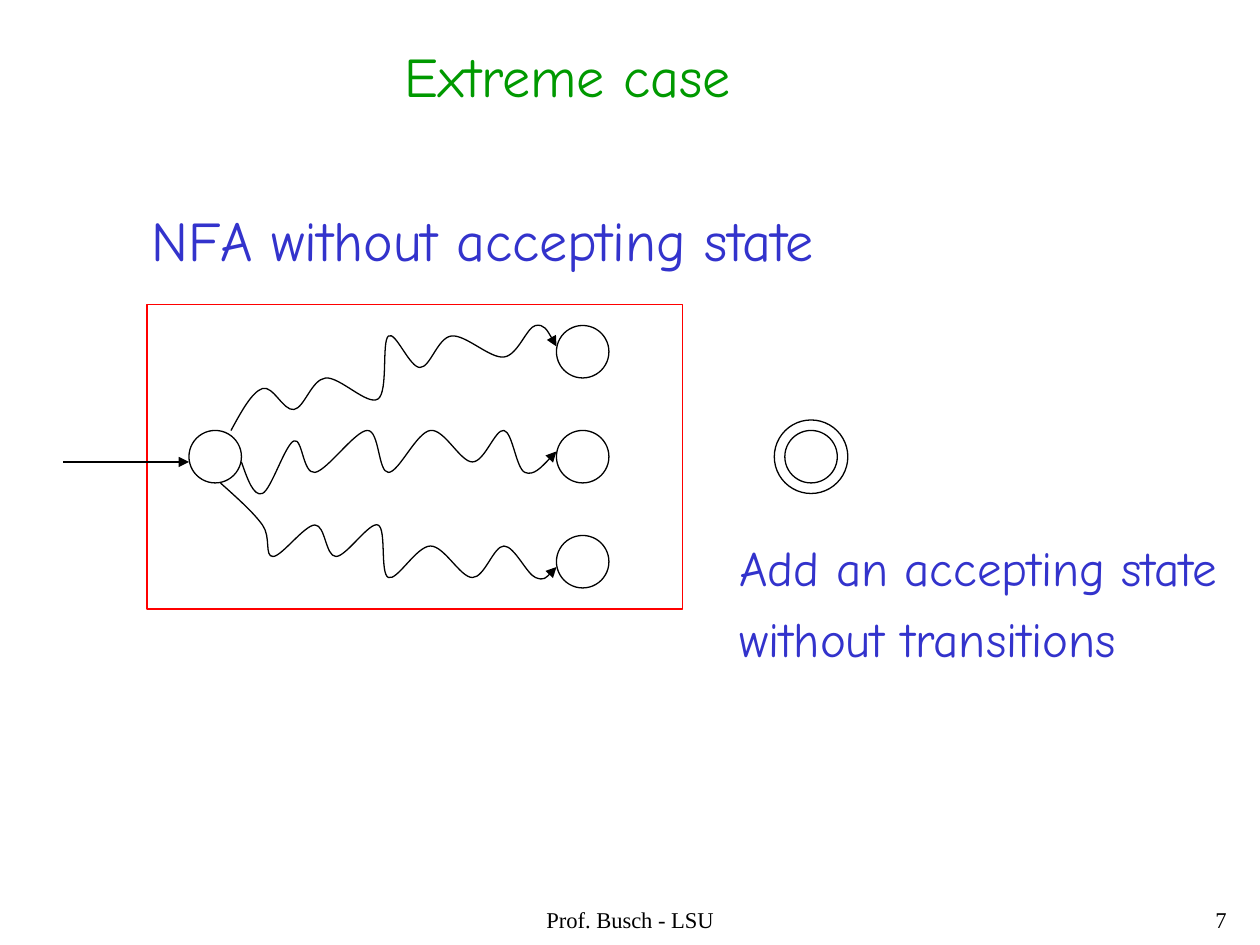
from lxml import etree
from pptx import Presentation, util as u
from pptx.dml.color import RGBColor
from pptx.enum import shapes, text
from pptx.oxml.ns import qn

PX = 9525  # EMU per px, 96 px to the inch
STEP = 8 * PX  # grid step of the wavy paths

BLACK, RED, BLUE, GREEN = "000000", "FF0000", "3333CC", "009900"


def outline(shape, color=BLACK, arrow=False):
    """Give a thin line without fill or shadow, and an arrowhead if asked."""
    if hasattr(shape, "fill"):
        shape.fill.background()
        shape.shadow.inherit = False
    else:
        etree.SubElement(shape._element.spPr, qn("a:effectLst"))
    shape.line.color.rgb = RGBColor.from_string(color)
    shape.line.width = u.Pt(0.75)
    if arrow:
        etree.SubElement(shape.line._get_or_add_ln(), qn("a:tailEnd"), type="triangle")


def write(parent, box, lines, color, font, size, wrap=False, **paragraph_format):
    """Add a text box; paragraph_format holds values set on every paragraph."""
    frame = parent.add_textbox(*(v * PX for v in box)).text_frame
    frame.word_wrap = wrap
    frame.auto_size = text.MSO_AUTO_SIZE.NONE if wrap else text.MSO_AUTO_SIZE.SHAPE_TO_FIT_TEXT
    frame.text = "\n".join(lines)
    for i, paragraph in enumerate(frame.paragraphs):
        for key, value in paragraph_format.items():
            setattr(paragraph, key, value)
        if i:
            paragraph.space_before = u.Pt(7)
        for key, value in {"name": font, "size": u.Pt(size)}.items():
            setattr(paragraph.font, key, value)
        paragraph.font.color.rgb = RGBColor.from_string(color)


prs = Presentation()
prs.slide_width, prs.slide_height = 960 * PX, 720 * PX
slide = prs.slides.add_slide(prs.slide_layouts[6])
parts = slide.shapes

# Footer
for box, words, align in [
    ((328, 688, 304, 32), "Prof. Busch - LSU", text.PP_ALIGN.CENTER),
    ((744, 688, 200, 32), "7", text.PP_ALIGN.RIGHT),
]:
    write(parts, box, [words], BLACK, "Times New Roman", 12.9, wrap=True,
          alignment=align, line_spacing=0.9)

# Automaton: frame, start state and three end states
frame_box = (v * PX for v in (112, 232, 408, 232))
outline(parts.add_shape(shapes.MSO_SHAPE.RECTANGLE, *frame_box), RED)
for left, top in [(144, 328), (424, 248), (424, 328), (424, 408)]:
    outline(parts.add_shape(shapes.MSO_SHAPE.OVAL, left * PX, top * PX, 40 * PX, 40 * PX))

start_arrow = parts.add_connector(
    shapes.MSO_CONNECTOR.STRAIGHT, 48 * PX, 352 * PX, 144 * PX, 352 * PX)
outline(start_arrow, arrow=True)

# Wavy paths: smooth curves through knots given in grid steps
wavy_paths = [
    [(22, 41), (25, 37), (28, 39), (31, 36), (36, 38), (37, 32),
     (40, 35), (43, 32), (48, 34), (51, 31), (53, 33)],
    [(23, 44), (25, 47), (28, 42), (30, 45), (35, 41), (37, 45),
     (41, 41), (45, 44), (48, 41), (50, 45), (53, 43)],
    [(21, 46), (25, 50), (26, 53), (30, 50), (32, 53), (36, 50),
     (37, 55), (41, 52), (45, 55), (48, 52), (51, 55), (53, 54)],
]
for grid_knots in wavy_paths:
    knots = [(x * STEP, y * STEP) for x, y in grid_knots]
    builder = parts.build_freeform(*knots[0], scale=1)
    builder.add_line_segments(knots[1:], close=False)
    wave = builder.convert_to_shape()
    outline(wave, arrow=True)

    # The tangent at an inner knot is a sixth of the span between its neighbours
    before, after = [], []
    for (x0, y0), (x, y), (x1, y1) in zip(knots, knots[1:], knots[2:]):
        dx, dy = (x1 - x0) / 6, (y1 - y0) / 6
        before.append((x - dx, y - dy))
        after.append((x + dx, y + dy))
    first = [(a + b) / 2 for a, b in zip(knots[0], before[0])]
    last = [(a + b) / 2 for a, b in zip(knots[-1], after[-1])]
    segments = list(wave._element.iter(qn("a:lnTo")))
    for segment, *controls in zip(segments, [first] + after, before + [last]):
        curve = etree.Element(qn("a:cubicBezTo"))
        for x, y in controls:
            etree.SubElement(curve, qn("a:pt"),
                             x=str(round(x - wave.left)), y=str(round(y - wave.top)))
        curve.append(segment[0])
        segment.getparent().replace(segment, curve)

write(parts, (106, 152, 527, 61), ["NFA without accepting state"], BLUE, "Comic Neue", 32)

# Added accepting state with its caption
added = parts.add_group_shape().shapes
for left, top, size in [(598, 328, 40), (590, 320, 56)]:
    outline(added.add_shape(shapes.MSO_SHAPE.OVAL, left * PX, top * PX, size * PX, size * PX))
write(added, (554, 405, 385, 108), ["Add an accepting state", "without transitions"],
      BLUE, "Comic Neue", 28)

write(parts, (299, 27, 269, 61), ["Extreme case"], GREEN, "Comic Neue", 32)

prs.save("out.pptx")
